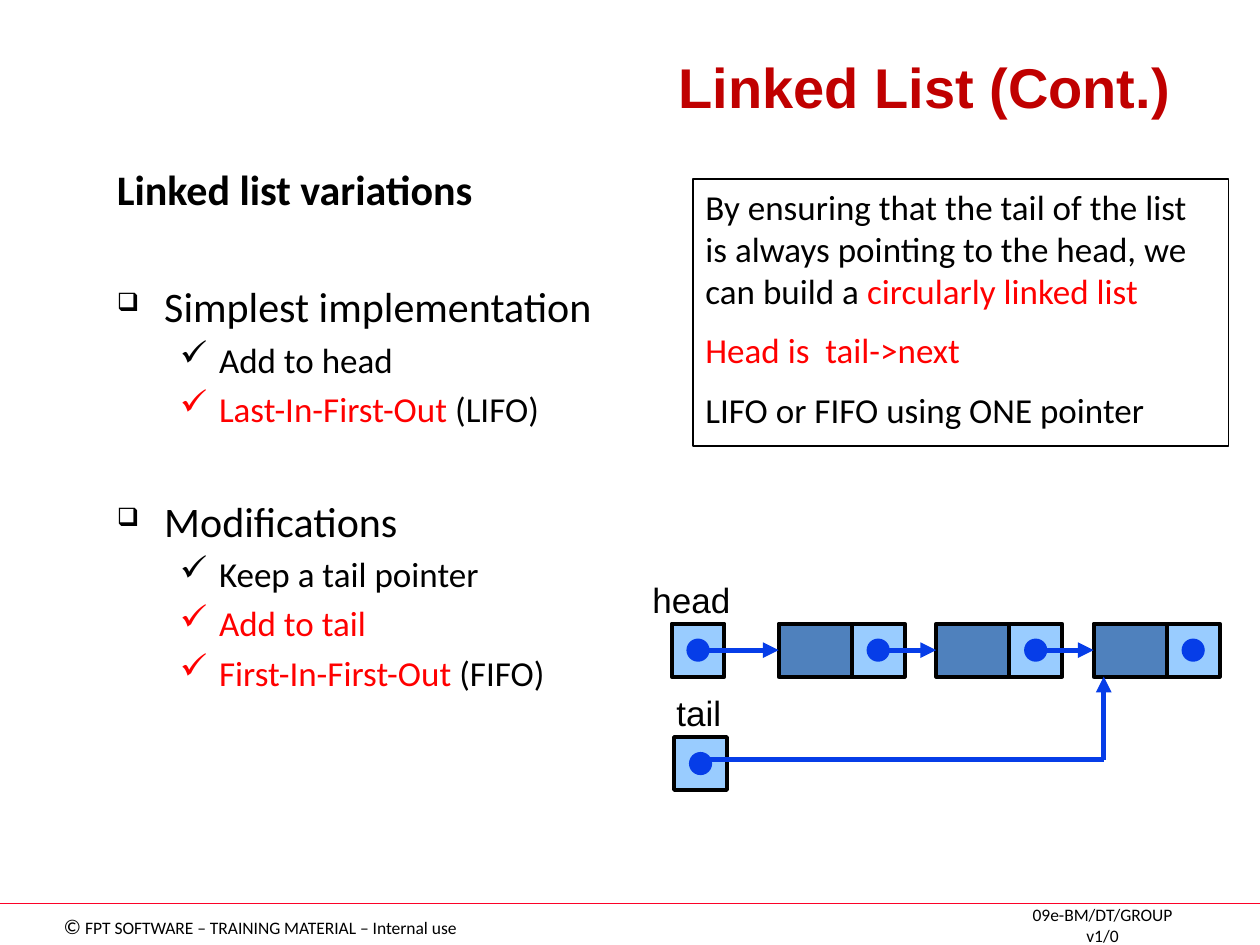
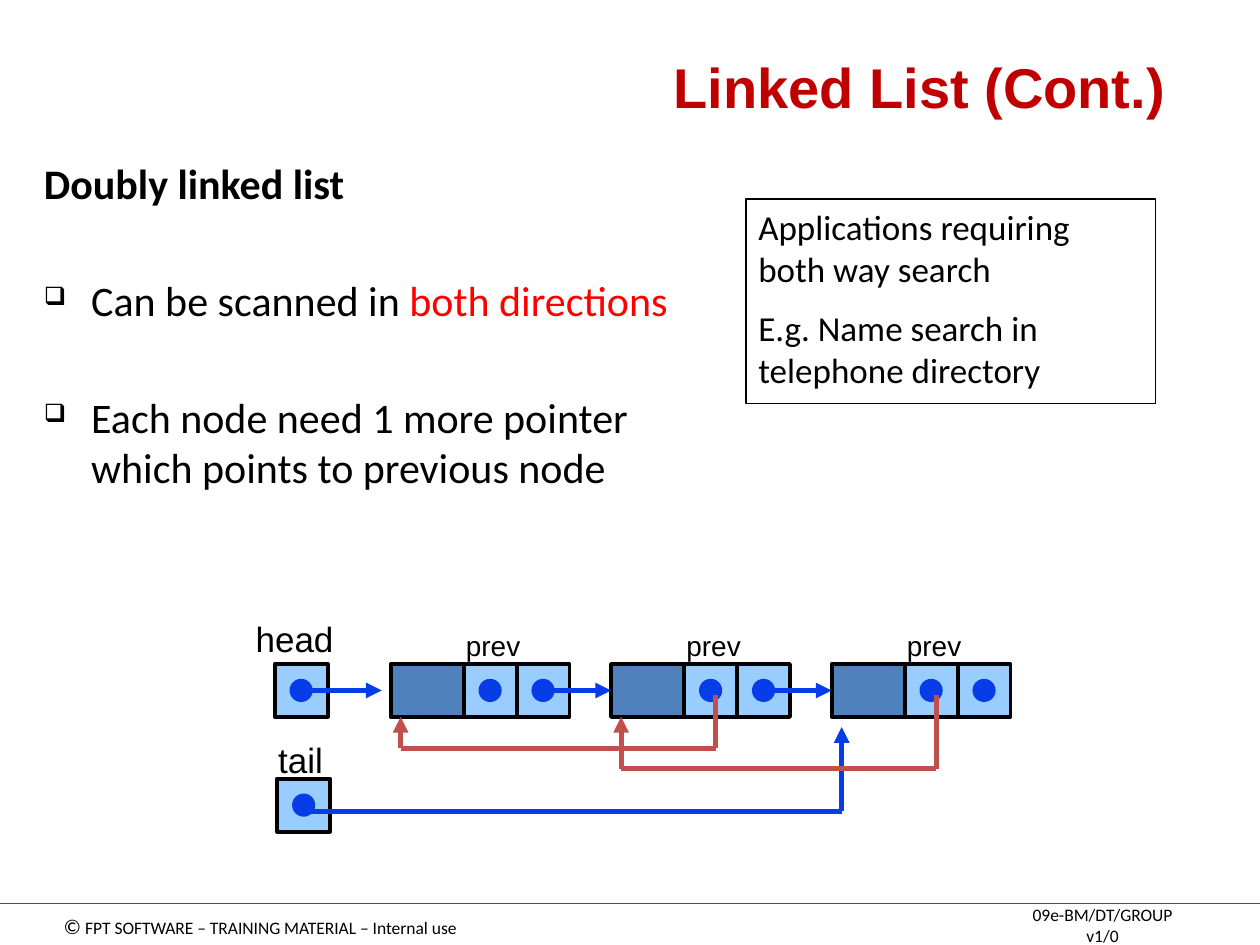
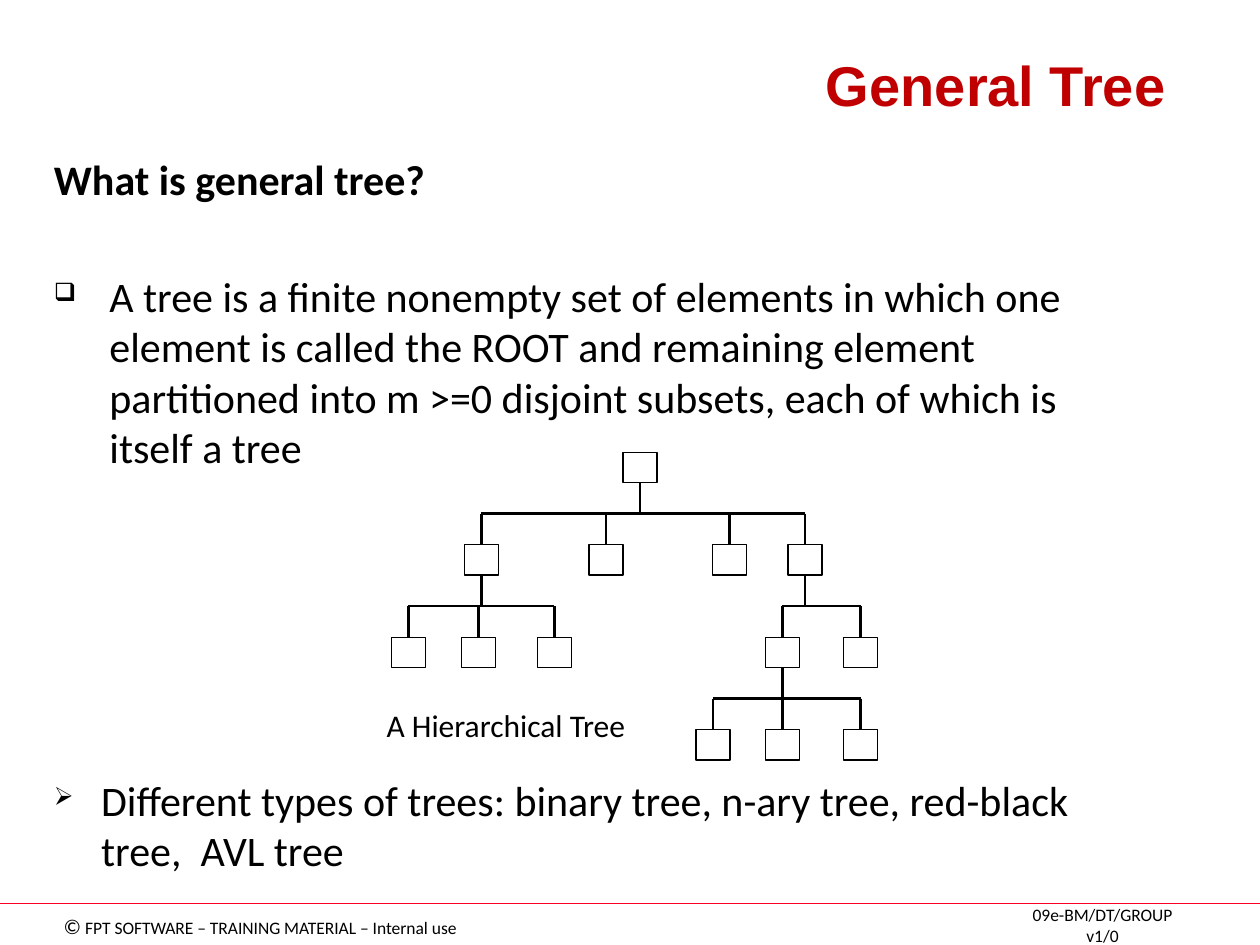
from dataclasses import dataclass
from itertools import pairwise

from lxml.etree import SubElement
from pptx import Presentation
from pptx.dml.color import RGBColor
from pptx.enum.shapes import MSO_CONNECTOR as Connector, MSO_SHAPE as Preset
from pptx.enum.text import MSO_ANCHOR as Anchor, PP_ALIGN as Align
from pptx.oxml.ns import qn
from pptx.util import Inches, Pt

# Grid: 100 columns by 75 rows of square cells
COLUMNS, ROWS = 100, 75
CELL = Inches(10) / COLUMNS

BLACK = RGBColor(0x00, 0x00, 0x00)
WHITE = RGBColor(0xFF, 0xFF, 0xFF)
TITLE_RED = RGBColor(0xC0, 0x00, 0x00)
RED = RGBColor(0xFF, 0x00, 0x00)
FOOTER_RED = RGBColor(0xFC, 0x01, 0x28)
DATA_BLUE = RGBColor(0x4F, 0x81, 0xBD)
CELL_BLUE = RGBColor(0x99, 0xCC, 0xFF)
POINTER_BLUE = RGBColor(0x06, 0x3D, 0xE8)
PREVIOUS_RED = RGBColor(0xC0, 0x50, 0x4D)

# Text formats
BODY = {"name": "Calibri", "size": Pt(24), "bold": False, "color": BLACK}
HEADING = BODY | {"bold": True}
DETAIL = BODY | {"size": Pt(20)}
CAPTION = BODY | {"size": Pt(18)}
FOOTER = BODY | {"size": Pt(10)}
TITLE = {"name": "Arial", "size": Pt(32), "bold": True, "color": TITLE_RED}
LABEL = {"name": "Arial", "size": Pt(20), "bold": False, "color": BLACK}
SMALL_LABEL = LABEL | {"size": Pt(16)}

# Sizes in grid cells
SIDE, DATA_WIDTH, DOT = 4.2, 5.8, 1.7
BOX_WIDTH, BOX_HEIGHT, LEVEL_STEP = 2.7, 2.4, 7.34
SECTION_GAP = 38


@dataclass
class Line:
    """One paragraph: runs are (text, format changes) pairs."""
    runs: list
    style: dict
    space: float = 0
    bullet: str = ""
    bullet_size: int = 100
    margin: float = 0
    hang: float = 0
    level: int = 0
    align: Align = Align.LEFT


def plain(text, style, **options):
    return Line([(text, {})], style, **options)


def item(*runs, space=SECTION_GAP, bullet="❑", margin=3.75):
    return Line(list(runs), BODY, space, bullet, 60, margin, margin)


def subitem(*runs):
    return Line(list(runs), DETAIL, 4, "✓", 100, 8.1, 3.1, 1)


def red(text):
    return text, {"color": RED}


def black(text):
    return text, {}


def set_values(target, values):
    for name, value in values.items():
        if name == "color":
            target.color.rgb = value
        else:
            setattr(target, name, value)


class Deck:
    def __init__(self):
        self.presentation = Presentation()
        self.presentation.slide_width = round(COLUMNS * CELL)
        self.presentation.slide_height = round(ROWS * CELL)
        self.slide = None

    def cells(self, *lengths):
        return [round(length * CELL) for length in lengths]

    def new_slide(self, title, width=87, top=1):
        """Start a slide with its title and the shared footer."""
        self.slide = self.presentation.slides.add_slide(self.presentation.slide_layouts[6])
        self.route([(0, 71.7), (COLUMNS, 71.7)], FOOTER_RED, 0.75, arrow=False)
        notice = [("©", {"size": Pt(12)}),
                  black(" FPT SOFTWARE – TRAINING MATERIAL – Internal use")]
        self.text([Line(notice, FOOTER, align=Align.CENTER)], 1.3, 72, 38.7, 3,
                  wrap=False, anchor=Anchor.MIDDLE)
        self.text([plain("09e-BM/DT/GROUP v1/0", FOOTER, align=Align.CENTER)],
                  79.7, 72.1, 15.6, 2.7, wrap=False, anchor=Anchor.MIDDLE)
        self.text([plain(title, TITLE, align=Align.RIGHT)], 6.5, top, width, 9,
                  anchor=Anchor.BOTTOM)

    # Text
    def text(self, lines, left, top, width, height, wrap=True, anchor=Anchor.TOP):
        box = self.slide.shapes.add_textbox(*self.cells(left, top, width, height))
        self.fill_text(box.text_frame, lines, wrap, anchor)

    def fill_text(self, frame, lines, wrap=True, anchor=Anchor.TOP):
        set_values(frame, {"word_wrap": wrap, "vertical_anchor": anchor})
        for number, line in enumerate(lines):
            paragraph = frame.add_paragraph() if number else frame.paragraphs[0]
            if line.bullet:
                self.add_bullet(paragraph, line)
            set_values(paragraph, {"level": line.level, "alignment": line.align,
                                   "space_before": Pt(line.space)})
            for words, changes in line.runs:
                run = paragraph.add_run()
                run.text = words
                set_values(run.font, line.style | changes)

    def add_bullet(self, paragraph, line):
        properties = paragraph._p.get_or_add_pPr()
        margin, hang = self.cells(line.margin, line.hang)
        properties.set("marL", str(margin))
        properties.set("indent", str(-hang))
        colour = (line.style | line.runs[0][1])["color"]
        SubElement(SubElement(properties, qn("a:buClr")), qn("a:srgbClr"), val=str(colour))
        SubElement(properties, qn("a:buSzPct"), val=str(line.bullet_size * 1000))
        SubElement(properties, qn("a:buChar"), char=line.bullet)

    # Shapes and lines
    def shape(self, left, top, width, height, fill=None, outline=BLACK, weight=0.75,
              preset=Preset.RECTANGLE, lines=()):
        shape = self.slide.shapes.add_shape(preset, *self.cells(left, top, width, height))
        shape.shadow.inherit = False
        if fill is None:
            shape.fill.background()
        else:
            shape.fill.solid()
            shape.fill.fore_color.rgb = fill
        if outline is None:
            shape.line.fill.background()
        else:
            set_values(shape.line, {"color": outline, "width": Pt(weight)})
        if lines:
            self.fill_text(shape.text_frame, lines)

    def route(self, points, colour=POINTER_BLUE, weight=3, arrow=True):
        """Join the points with straight lines; the last may end in an arrowhead."""
        for start, end in pairwise(points):
            connector = self.slide.shapes.add_connector(
                Connector.STRAIGHT, *self.cells(*start, *end))
            set_values(connector.line, {"color": colour, "width": Pt(weight)})
            properties = connector._element.spPr
            if arrow and end == points[-1]:
                SubElement(properties.find(qn("a:ln")), qn("a:tailEnd"), type="triangle")
            SubElement(properties, qn("a:effectLst"))

    # Linked list parts
    def pointer_cell(self, left, top):
        self.shape(left, top, SIDE, SIDE, CELL_BLUE, weight=2.25)
        inset = (SIDE - DOT) / 2
        self.shape(left + inset, top + inset, DOT, DOT, POINTER_BLUE, POINTER_BLUE, 1,
                   Preset.OVAL)

    def named_pointer(self, name, left, top, label_left, label_top, label_width):
        self.pointer_cell(left, top)
        self.text([plain(name, LABEL)], label_left, label_top, label_width, 4.3, wrap=False)

    def node_chain(self, lefts, top, pointers):
        for left in lefts:
            self.shape(left, top, DATA_WIDTH, SIDE, DATA_BLUE, weight=2.25)
            for number in range(pointers):
                self.pointer_cell(left + DATA_WIDTH + number * SIDE, top)
        for left in lefts[1:]:
            self.link(left - 5, left, top)

    def link(self, start, end, top):
        middle = top + SIDE / 2
        self.route([(start, middle), (end, middle)])

    # Tree
    def tree(self, node, top):
        """Draw a (centre, children) node and everything below it."""
        centre, children = node
        self.shape(centre - BOX_WIDTH / 2, top, BOX_WIDTH, BOX_HEIGHT, WHITE)
        if not children:
            return
        bottom, child_top = top + BOX_HEIGHT, top + LEVEL_STEP
        bar = (bottom + child_top) / 2
        centres = [child[0] for child in children]
        segments = [[(centre, bottom), (centre, bar)], [(centres[0], bar), (centres[-1], bar)]]
        segments += [[(x, bar), (x, child_top)] for x in centres]
        for segment in segments:
            self.route(segment, BLACK, 1.5, arrow=False)
        for child in children:
            self.tree(child, child_top)


def variations_slide(deck):
    deck.new_slide("Linked List (Cont.)", width=87.4)
    deck.text([
        plain("Linked list variations", HEADING),
        item(black("Simplest implementation")),
        subitem(black("Add to head")),
        subitem(red("Last-In-First-Out "), black("(LIFO)")),
        item(black("Modifications")),
        subitem(black("Keep a tail pointer")),
        subitem(red("Add to tail")),
        subitem(red("First-In-First-Out "), black("(FIFO)")),
    ], 8.3, 12.5, 45.2, 58.1)

    # Circular list diagram
    top, tail_line = 49.5, 60.3
    nodes = [61.8 + 12.5 * number for number in range(3)]
    deck.node_chain(nodes, top, pointers=1)
    deck.named_pointer("head", 53.3, top, 50.8, 45.4, 8.5)
    deck.link(56, nodes[0], top)
    deck.named_pointer("tail", 53.5, 58.5, 52.7, 54.4, 6)
    tail_target = nodes[-1] + 0.8
    deck.route([(56.2, tail_line), (tail_target, tail_line), (tail_target, top + SIDE)])

    deck.shape(55, 14.2, 42.5, 21.2, lines=[
        Line([black("By ensuring that the tail of the list is always pointing to the head, "
                    "we can build a "), red("circularly linked list")], DETAIL),
        Line([red("Head is  tail->next")], DETAIL, 10),
        plain("LIFO or FIFO using ONE pointer", DETAIL, space=10),
    ])


def doubly_linked_slide(deck):
    deck.new_slide("Linked List (Cont.)")
    deck.text([
        plain("Doubly linked list", HEADING),
        item(black("Can be scanned in "), red("both directions")),
        item(black("Each node need 1 more pointer which points to previous node")),
    ], 2.5, 12, 54.5, 58.6)

    # Doubly linked diagram
    top, tail_line = 52.7, 64.4
    nodes = [31 + 17.5 * number for number in range(3)]
    deck.named_pointer("head", 21.8, top, 19.3, 48.5, 8.5)
    deck.link(24.5, 30.3, top)
    deck.named_pointer("tail", 22, 61.8, 21.1, 58.1, 6)
    deck.node_chain(nodes, top, pointers=2)
    tail_target = nodes[-1] + 0.8
    deck.route([(24.3, tail_line), (tail_target, tail_line), (tail_target, 57.7)])

    # Links back to the previous node
    for (previous, current), depth in zip(pairwise(nodes), (59.4, 61)):
        source, target = current + 8.3, previous + 0.8
        deck.route([(source, 55.2), (source, depth), (target, depth), (target, top + SIDE)],
                   PREVIOUS_RED)
    for left in nodes:
        deck.text([plain("prev", SMALL_LABEL)], left + 5, 49.4, 6.7, 3.7, wrap=False)

    deck.shape(59.2, 15.8, 32.5, 16.2, lines=[
        plain("Applications requiring both way search", DETAIL),
        plain("E.g. Name search in telephone directory", DETAIL, space=10),
    ])


def general_tree_slide(deck):
    deck.new_slide("General Tree", top=0.8)
    deck.text([
        plain("What is general tree?", HEADING),
        item(black("A tree is a finite nonempty set of elements in which one element is called "
                   "the ROOT and remaining element partitioned into m >=0 disjoint subsets, "
                   "each of which is itself a tree"), margin=4.4),
        item(black("Different types of trees: binary tree, n-ary tree, red-black tree,  "
                   "AVL tree"), space=172.5, bullet="➢"),
    ], 3.3, 11.7, 88.3, 58.9)

    # Hierarchy: each node is (centre column, children)
    left_branch = (38.2, [(32.4, []), (38, []), (44, [])])
    lower_branch = (62.1, [(56.6, []), (62.1, []), (68.3, [])])
    right_branch = (63.9, [lower_branch, (68.3, [])])
    deck.tree((50.8, [left_branch, (48.1, []), (57.9, []), right_branch]), 35.9)
    deck.shape(29.7, 55.5, 23.4, 4.9, WHITE, outline=None,
               lines=[plain("A Hierarchical Tree", CAPTION)])


def main():
    deck = Deck()
    for build_slide in (variations_slide, doubly_linked_slide, general_tree_slide):
        build_slide(deck)
    deck.presentation.save("out.pptx")


if __name__ == "__main__":
    main()
